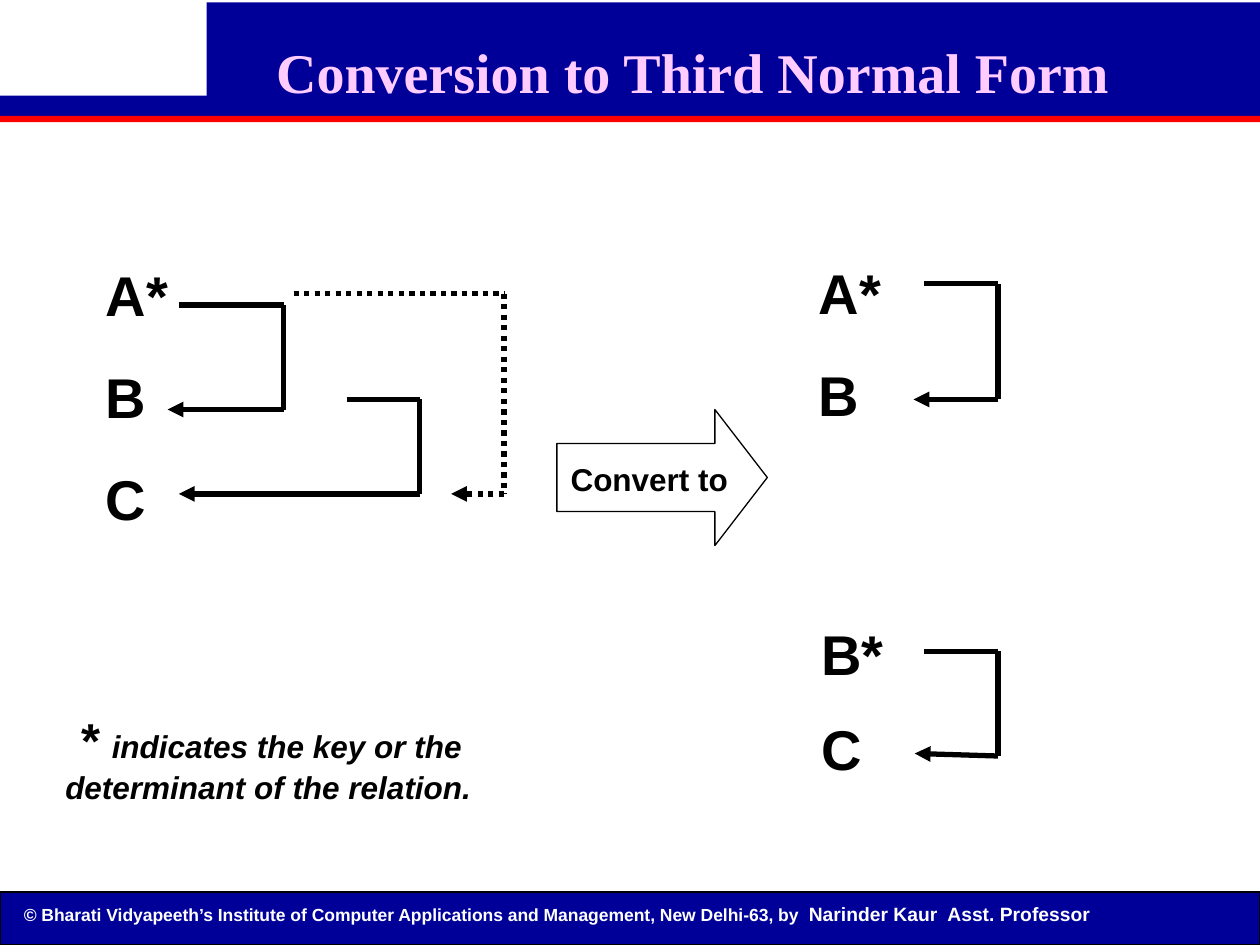
from dataclasses import dataclass
from itertools import pairwise

from lxml.etree import SubElement
from pptx import Presentation
from pptx.dml.color import RGBColor
from pptx.enum.dml import MSO_LINE_DASH_STYLE as Dash
from pptx.enum.shapes import MSO_CONNECTOR as Connector, MSO_SHAPE as Shape
from pptx.enum.text import PP_ALIGN as Align
from pptx.oxml.ns import qn
from pptx.util import Inches, Pt


@dataclass(frozen=True)
class Theme:
    navy: RGBColor = RGBColor(0x00, 0x00, 0x99)
    red: RGBColor = RGBColor(0xFF, 0x00, 0x00)
    pink: RGBColor = RGBColor(0xFF, 0xCC, 0xFF)
    white: RGBColor = RGBColor(0xFF, 0xFF, 0xFF)
    black: RGBColor = RGBColor(0x00, 0x00, 0x00)
    body_font: str = "Arial"
    title_font: str = "Times New Roman"
    large: int = 32
    star: int = 28
    medium: int = 18
    author: int = 11
    small: int = 10
    thick: float = 3
    thin: float = 0.75


THEME = Theme()


def add_block(slide, left, top, width, height, fill=None, outlined=False, kind=Shape.RECTANGLE):
    shape = slide.shapes.add_shape(kind, *map(Inches, (left, top, width, height)))
    shape.shadow.inherit = False
    if fill is None:
        shape.fill.background()
    else:
        shape.fill.solid()
        shape.fill.fore_color.rgb = fill
    if outlined:
        shape.line.color.rgb = THEME.black
        shape.line.width = Pt(THEME.thin)
    else:
        shape.line.fill.background()
    return shape


def add_text(slide, left, top, width, height, runs, color=THEME.black,
             font=THEME.body_font, wrap=True, italic=False):
    """Place one bold paragraph made of (text, size) runs and return it."""
    box = slide.shapes.add_textbox(*map(Inches, (left, top, width, height)))
    box.text_frame.word_wrap = wrap
    paragraph = box.text_frame.paragraphs[0]
    for text, size in runs:
        run = paragraph.add_run()
        run.text = text
        run.font.name = font
        run.font.size = Pt(size)
        run.font.bold = True
        run.font.italic = italic
        run.font.color.rgb = color
    return paragraph


def add_arrow_path(slide, points, dotted=False):
    """Join the points with straight lines and put an arrowhead on the last."""
    for start, end in pairwise(points):
        line = slide.shapes.add_connector(Connector.STRAIGHT, *map(Inches, start + end))
        line.line.color.rgb = THEME.black
        line.line.width = Pt(THEME.thick)
        if dotted:
            line.line.dash_style = Dash.ROUND_DOT
        SubElement(line._element.spPr, qn("a:effectLst"))
    SubElement(line.line._get_or_add_ln(), qn("a:tailEnd"), type="triangle")


def draw_header(slide, left, top, width):
    add_block(slide, left, top + 0.76, width, 0.16, THEME.navy)
    add_block(slide, left, top + 0.92, width, 0.05, THEME.red)
    add_block(slide, left + 1.64, top + 0.02, width - 1.64, 0.76, THEME.navy)
    title = add_text(slide, left + 1, top + 0.25, width - 1, 1.25,
                     [("Conversion to Third Normal Form", THEME.large)],
                     THEME.pink, THEME.title_font)
    title.alignment = Align.CENTER


def draw_footer(slide, left, top, width, height):
    add_block(slide, left, top, width, height, THEME.navy, outlined=True)
    add_text(slide, left + 0.09, top + 0.03, 9.18, 0.28, [
        ("© Bharati Vidyapeeth’s Institute of Computer Applications and "
         "Management, New Delhi-63, by", THEME.small),
        ("  Narinder Kaur  Asst. Professor", THEME.author),
    ], THEME.white)


def draw_relation(slide, left, top, attributes, pitch, dependencies):
    """Stack the attributes and draw (points, dotted) arrows beside them."""
    for row, name in enumerate(attributes):
        width = 0.7 if name.endswith("*") else 0.52
        add_text(slide, left, top + row * pitch, width, 0.63,
                 [(name, THEME.large)], wrap=False)
    for points, dotted in dependencies:
        add_arrow_path(slide, [(left + x, top + y) for x, y in points], dotted)


def draw_convert_arrow(slide, left, top, width, height):
    arrow = add_block(slide, left, top, width, height, outlined=True, kind=Shape.RIGHT_ARROW)
    arrow.adjustments[0] = 0.5
    arrow.adjustments[1] = 0.385
    add_text(slide, left + 0.01, top + 0.35, 1.45, 0.4,
             [("Convert to", THEME.medium)], wrap=False)


def draw_key_note(slide, left, top, width, height):
    note = add_text(slide, left, top, width, height, [
        ("* ", THEME.star),
        ("indicates the key or the determinant of the relation.", THEME.medium),
    ], italic=True)
    note._p.get_or_add_pPr().set("indent", str(Inches(0.11)))


def main():
    presentation = Presentation()
    presentation.slide_width = Inches(10)
    presentation.slide_height = Inches(7.5)
    slide = presentation.slides.add_slide(presentation.slide_layouts[6])

    draw_header(slide, 0, 0, 10)
    draw_footer(slide, 0, 7.08, 10, 0.42)

    # Relation with a transitive dependency (dotted)
    draw_relation(slide, 0.74, 2.02, ["A*", "B", "C"], 0.81, [
        ([(1.59, 0.31), (3.26, 0.31), (3.26, 1.9), (2.84, 1.9)], True),
        ([(0.68, 0.4), (1.51, 0.4), (1.51, 1.23), (0.59, 1.23)], False),
        ([(2.01, 1.15), (2.59, 1.15), (2.59, 1.9), (0.68, 1.9)], False),
    ])
    draw_convert_arrow(slide, 4.42, 3.25, 1.67, 1.08)

    # The two relations in third normal form
    draw_relation(slide, 6.4, 2, ["A*", "B"], 0.81, [
        ([(0.93, 0.25), (1.52, 0.25), (1.52, 1.17), (0.85, 1.17)], False),
    ])
    draw_relation(slide, 6.42, 4.87, ["B*", "C"], 0.75, [
        ([(0.91, 0.3), (1.5, 0.3), (1.5, 1.13), (0.84, 1.11)], False),
    ])
    draw_key_note(slide, 0.42, 5.58, 4.67, 0.88)

    presentation.save("out.pptx")


if __name__ == "__main__":
    main()
